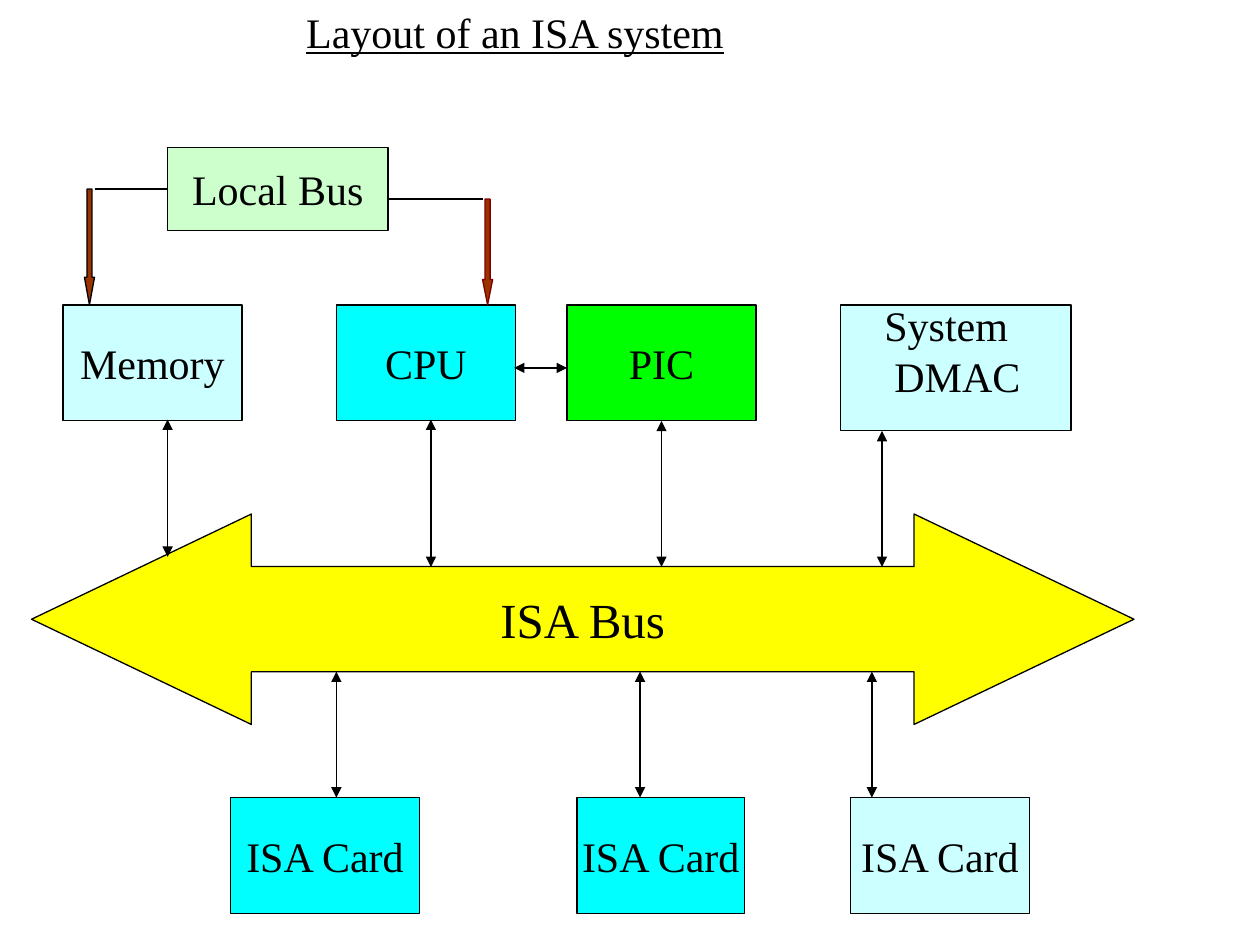
"""Build a block diagram slide of an ISA bus system."""
from pptx import Presentation
from pptx import util as u
from pptx.dml.color import RGBColor
from pptx.enum import shapes, text
from pptx.oxml import ns
from lxml import etree

FONT = "Times New Roman"
TITLE = "Layout of an ISA system"
PALE, CYAN, BROWN = "CCFFFF", "00FFFF", "993300"
ROW_Y, CARD_Y, BOX_H = 2.42, 6.33, 0.92
BUS_TOP, BUS_BOTTOM = 4.5, 5.33

LOCAL_BUS = ("Local Bus", 1.33, 1.75, "CCFFCC")
PIC = ("PIC", 4.5, 1.5, "00FF00")
UNITS = [("Memory", 0.5, 1.42, PALE), ("CPU", 2.67, 1.42, CYAN)]
DMAC = ("", 6.67, 1.83, PALE)
CARDS = [
    ("ISA Card", 1.83, 1.5, CYAN),
    ("ISA Card", 4.58, 1.33, CYAN),
    ("ISA Card", 6.75, 1.42, PALE),
]
DMAC_LINES = [("System", 0), ("DMAC", 0.08)]
LOCAL_ARROWS = [(0.67, 1.5, 2.74, "000000"), (3.83, 1.58, 2.51, "800000")]
BUS_LINKS = [(1.33, 3.33, 4.42), (3.42, 3.33, BUS_TOP), (7, 3.42, BUS_TOP)]
CARD_LINKS = [(x, BUS_BOTTOM, CARD_Y) for x in (2.67, 5.08, 6.92)]


def color(value):
    return RGBColor.from_string(value)


def add_run(p, words, size=24, underline=None):
    r = p.add_run()
    r.text = words
    r.font.name, r.font.size = FONT, u.Pt(size)
    r.font.color.rgb = color("000000")
    r.font.underline = underline


def add_block(s, kind, x, y, w, h, fill, words="", size=24, line="000000", adjust=()):
    sp = s.shapes.add_shape(kind, *map(u.Inches, (x, y, w, h)))
    sp.shadow.inherit = False
    sp.fill.solid()
    sp.fill.fore_color.rgb = color(fill)
    sp.line.color.rgb = color(line)
    sp.line.width = u.Pt(0.75)
    for i, value in enumerate(adjust):
        sp.adjustments[i] = value
    if words:
        tf = sp.text_frame
        tf.word_wrap = False
        tf.vertical_anchor = text.MSO_ANCHOR.MIDDLE
        p = tf.paragraphs[0]
        p.alignment = text.PP_ALIGN.CENTER
        add_run(p, words, size)
    return sp


def add_box(s, box, y, h=BOX_H):
    words, x, w, fill = box
    return add_block(s, shapes.MSO_SHAPE.RECTANGLE, x, y, w, h, fill, words)


def add_line(s, x1, y1, x2, y2, arrows=True):
    line = s.shapes.add_connector(
        shapes.MSO_CONNECTOR.STRAIGHT, *map(u.Inches, (x1, y1, x2, y2)))
    line.line.color.rgb = color("000000")
    line.line.width = u.Pt(0.75)
    props = line.element.spPr
    if arrows:
        for end in ("a:headEnd", "a:tailEnd"):
            etree.SubElement(props.find(ns.qn("a:ln")), ns.qn(end), type="triangle")
    etree.SubElement(props, ns.qn("a:effectLst"))
    return line


def add_title(s):
    title = s.shapes.title
    title.left, title.top, title.width, title.height = map(u.Inches, (2.33, 0, 3.53, 0.5))
    tf = title.text_frame
    tf.word_wrap = False
    tf.auto_size = text.MSO_AUTO_SIZE.SHAPE_TO_FIT_TEXT
    tf.vertical_anchor = text.MSO_ANCHOR.TOP
    p = tf.paragraphs[0]
    p.alignment = text.PP_ALIGN.LEFT
    add_run(p, TITLE, underline=True)


def add_dmac_label(s):
    label = s.shapes.add_textbox(*map(u.Inches, (6.92, 2.33, 1.29, 0.9)))
    tf = label.text_frame
    tf.word_wrap = True
    tf.auto_size = text.MSO_AUTO_SIZE.SHAPE_TO_FIT_TEXT
    for i, (words, indent) in enumerate(DMAC_LINES):
        p = tf.add_paragraph() if i else tf.paragraphs[0]
        p.alignment = text.PP_ALIGN.LEFT
        add_run(p, words)
        props = label.element.findall(".//" + ns.qn("a:pPr"))[i]
        props.set("marL", str(u.Inches(indent)))


def main():
    prs = Presentation()
    prs.slide_width, prs.slide_height = u.Inches(10), u.Inches(7.5)
    s = prs.slides.add_slide(prs.slide_layouts[5])
    add_title(s)
    local_bus = add_box(s, LOCAL_BUS, 1.17, 0.66)
    for unit in UNITS:
        add_box(s, unit, ROW_Y)
    pic = add_box(s, PIC, ROW_Y)
    add_box(s, DMAC, ROW_Y, 1)
    add_dmac_label(s)
    for x, y, head, line in LOCAL_ARROWS:
        add_block(s, shapes.MSO_SHAPE.DOWN_ARROW, x, y, 0.08, ROW_Y - y, BROWN,
                  line=line, adjust=(0.5, head))
    add_block(s, shapes.MSO_SHAPE.LEFT_RIGHT_ARROW, 0.25, 4.08, 8.75, 1.67, "FFFF00",
              "ISA Bus", 28, adjust=(0.5, 1.045))
    for card in CARDS:
        add_box(s, card, CARD_Y)

    add_line(s, 0.75, 1.5, 1.33, 1.5, arrows=False).end_connect(local_bus, 1)
    add_line(s, 3.08, 1.58, 3.83, 1.58, arrows=False)
    add_line(s, 4.08, 2.92, 4.5, 2.92)
    add_line(s, 5.25, 3.33, 5.25, BUS_TOP).begin_connect(pic, 2)
    for x, top, bottom in BUS_LINKS + CARD_LINKS:
        add_line(s, x, top, x, bottom)
    prs.save("out.pptx")


if __name__ == "__main__":
    main()
